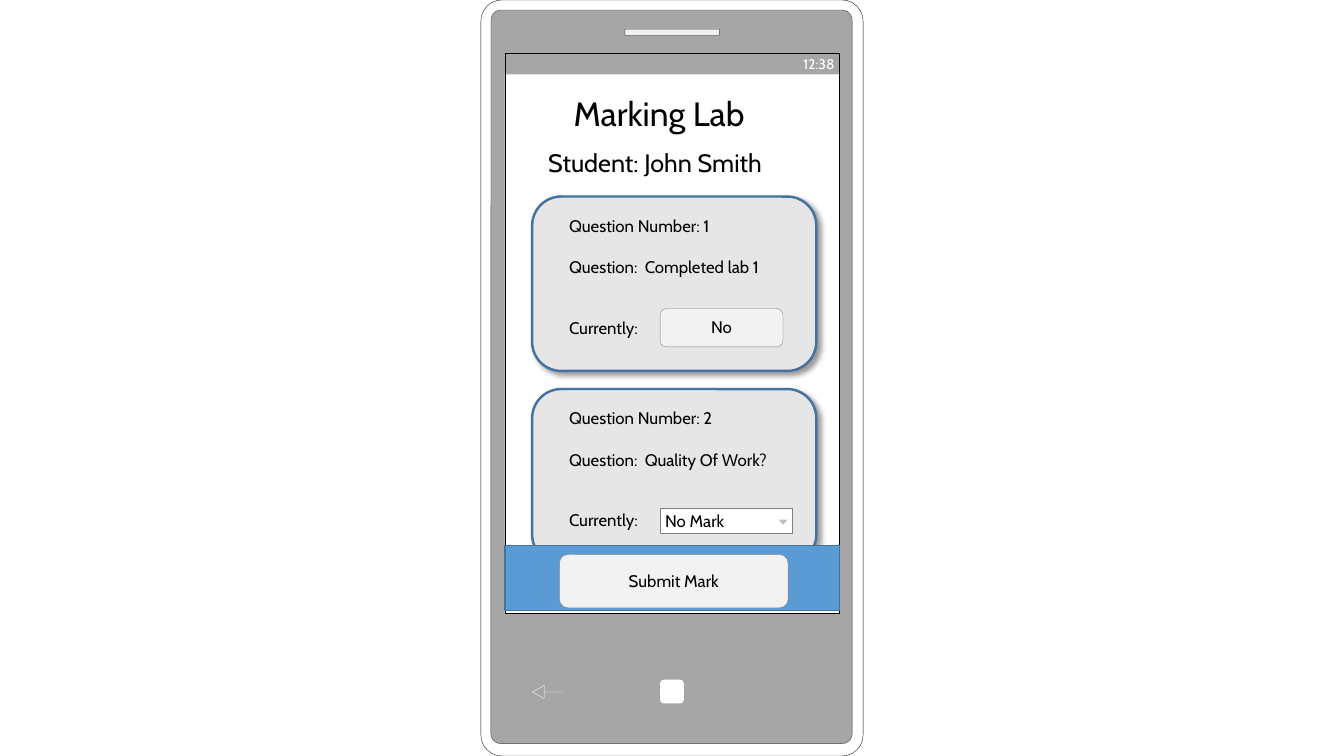
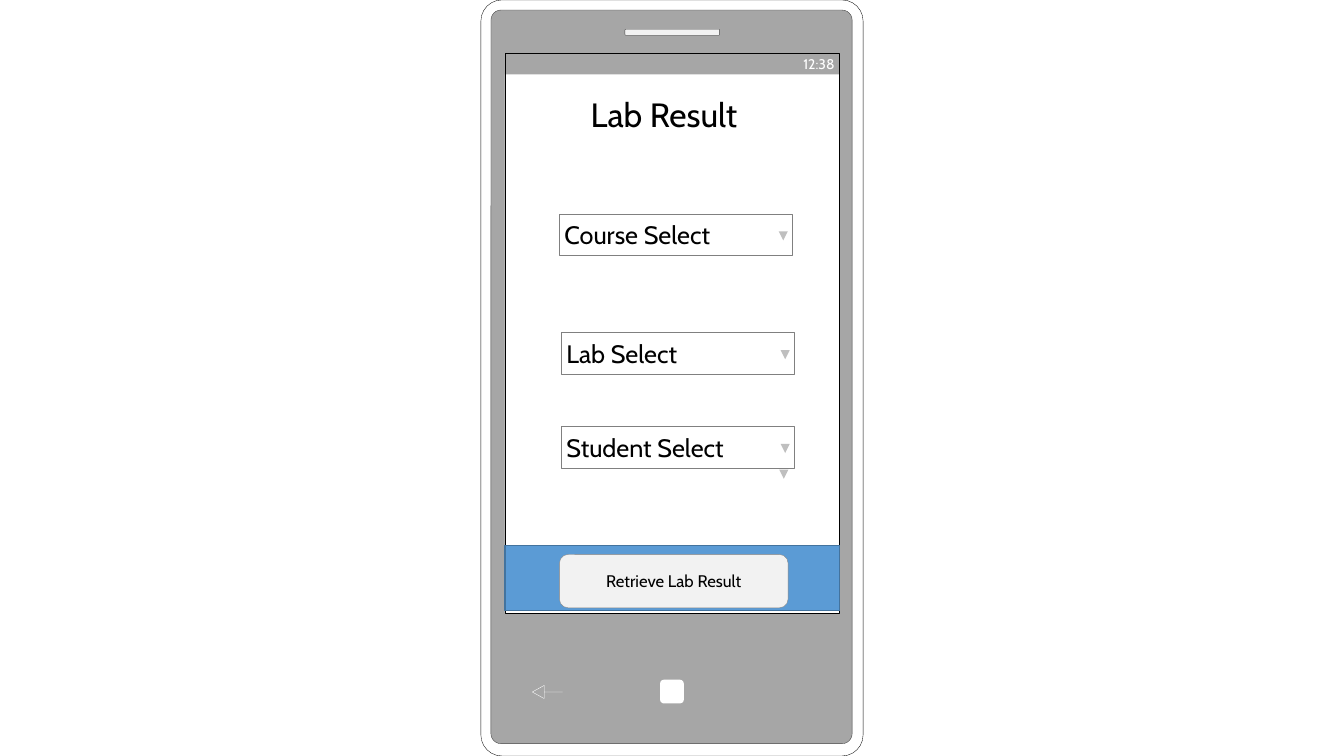
import collections

import lxml.etree
import pptx
import pptx.dml.color
import pptx.enum.shapes
import pptx.enum.text
import pptx.oxml
import pptx.oxml.ns
import pptx.util

Pt = pptx.util.Pt
SHAPE = pptx.enum.shapes.MSO_SHAPE
ALIGN = pptx.enum.text.PP_ALIGN
qn = pptx.oxml.ns.qn

COLORS = {
    "white": "FFFFFF", "black": "000000", "edge": "0D0D0D", "body": "A6A6A6",
    "outline": "404040", "button": "F2F2F2", "border": "808080",
    "arrow": "BFBFBF", "card": "E7E6E6", "blue": "5B9BD5", "navy": "43739E",
}
FONT = "Cabin"

# Text styles: insets (left, top, right, bottom), size, colour, alignment
Style = collections.namedtuple("Style", "insets size color align")
LABEL_INSETS = (7.2, 1.4, 7.2, 2.2)
FIELD_INSETS = (3.6, 3.6, 3.6, 3.6)
TITLE = Style(LABEL_INSETS, 24, "black", ALIGN.LEFT)
SUBTITLE = Style(LABEL_INSETS, 18, "black", ALIGN.LEFT)
LABEL = Style(LABEL_INSETS, 12, "black", ALIGN.LEFT)
BUTTON = Style((7.2, 0, 7.2, 0.7), 12, "black", ALIGN.CENTER)
SMALL_FIELD = Style(FIELD_INSETS, 12, "black", ALIGN.LEFT)
LARGE_FIELD = Style(FIELD_INSETS, 18, "black", ALIGN.LEFT)
CLOCK = Style(FIELD_INSETS, 10, "white", ALIGN.RIGHT)


class Box(collections.namedtuple("Box", "left top width height")):
    def inner(self, left, top, width, height):
        """A box whose corner is counted from this box's corner."""
        return Box(self.left + left, self.top + top, width, height)

    def lengths(self):
        return [Pt(value) for value in self]


PHONE = Box(343.5, 0, 273, 540)
SCREEN = PHONE.inner(17.2, 38.2, 239, 400)


def rgb(name):
    return pptx.dml.color.RGBColor.from_string(COLORS[name])


def assign(target, values):
    for name, value in values.items():
        setattr(target, name, value)


def write(shape, text, style):
    frame = shape.text_frame
    left, top, right, bottom = style.insets
    assign(frame, {
        "word_wrap": True,
        "auto_size": pptx.enum.text.MSO_AUTO_SIZE.NONE,
        "vertical_anchor": pptx.enum.text.MSO_ANCHOR.MIDDLE,
        "margin_left": Pt(left), "margin_top": Pt(top),
        "margin_right": Pt(right), "margin_bottom": Pt(bottom),
    })
    para = frame.paragraphs[0]
    para.alignment = style.align
    span = para.add_run()
    span.text = text
    assign(span.font, {"name": FONT, "size": Pt(style.size)})
    span.font.color.rgb = rgb(style.color)
    return para


def draw(page, kind, box, fill=None, line=None, weight=0.25, adjust=()):
    shape = page.shapes.add_shape(kind, *box.lengths())
    shape.shadow.inherit = False
    if fill:
        shape.fill.solid()
        shape.fill.fore_color.rgb = rgb(fill)
    else:
        shape.fill.background()
    if line:
        shape.line.color.rgb = rgb(line)
        shape.line.width = Pt(weight)
    else:
        shape.line.fill.background()
    for index, value in enumerate(adjust):
        shape.adjustments[index] = value
    return shape


def add_alpha(color, percent):
    lxml.etree.SubElement(color, qn("a:alpha"), val=str(percent * 1000))


def add_shadow(shape):
    effects = shape._element.spPr.find(qn("a:effectLst"))
    shadow = lxml.etree.SubElement(
        effects, qn("a:outerShdw"), blurRad=str(Pt(4)), dist=str(Pt(3)),
        dir=str(45 * 60000), algn="tl", rotWithShape="0")
    color = lxml.etree.SubElement(shadow, qn("a:srgbClr"), val=COLORS["black"])
    add_alpha(color, 40)


def add_tab_stop(para, position):
    stops = lxml.etree.SubElement(para._p.get_or_add_pPr(), qn("a:tabLst"))
    lxml.etree.SubElement(stops, qn("a:tab"), pos=str(Pt(position)), algn="l")


def add_label(page, box, text, style=LABEL):
    return write(page.shapes.add_textbox(*box.lengths()), text, style)


def add_button(page, box, text):
    button = draw(page, SHAPE.ROUNDED_RECTANGLE, box, "button", "border")
    write(button, text, BUTTON)


def add_down_arrow(page, box):
    draw(page, SHAPE.ISOSCELES_TRIANGLE, box, "arrow").rotation = 180


def add_dropdown(page, box, text, style, arrow_height=6.5):
    write(draw(page, SHAPE.RECTANGLE, box, "white", "border"), text, style)
    add_down_arrow(page, box.inner(box.width - 9.7,
                                   (box.height - arrow_height) / 2 + 1,
                                   6.5, arrow_height))


def add_phone(page, box):
    rounded = SHAPE.ROUNDED_RECTANGLE
    draw(page, rounded, box, "white", "edge", adjust=[0.055])
    draw(page, rounded, box.inner(7.2, 7.2, 258, 524), "body", "outline",
         adjust=[0.028])
    draw(page, SHAPE.RECTANGLE, SCREEN, "white", "black")
    draw(page, SHAPE.LEFT_ARROW, box.inner(36.7, 489.6, 21.6, 9.4),
         line="white", adjust=[0, 0.912])
    draw(page, rounded, box.inner(128, 485.5, 17, 17), "white")
    draw(page, rounded, box.inner(102.9, 20.9, 67.7, 4.3), "button", "outline")
    status = draw(page, SHAPE.RECTANGLE, SCREEN.inner(0, 0, 239, 15), "black")
    add_alpha(status._element.spPr.find(".//" + qn("a:srgbClr")), 35)
    write(status, "12:38", CLOCK)


def add_page(deck, title, title_box):
    page = deck.slides.add_slide(deck.slide_layouts[5])
    add_phone(page, PHONE)
    heading = page.shapes.title
    page.shapes._spTree.append(heading._element)  # in front of the screen
    assign(heading, dict(zip(Box._fields, title_box.lengths())))
    write(heading, title, TITLE)
    return page


def add_action_bar(page, screen, text):
    bar = screen.inner(0, 351.3, 239, 46.8)
    draw(page, SHAPE.RECTANGLE, bar, "blue", "navy", 1)
    add_button(page, bar.inner(38.9, 6.5, 163.4, 38.2), text)


def add_question_card(page, box, number, question):
    card = draw(page, SHAPE.ROUNDED_RECTANGLE, box, "card", "navy", 1.75)
    add_shadow(card)
    lines = [(12.2, f"Question Number: {number}"),
             (41.6, f"Question:\t{question}"),
             (84.8, "Currently:")]
    for top, text in lines:
        para = add_label(page, box.inner(19.4, top, 164, 18), text)
        if "\t" in text:
            add_tab_stop(para, 54)


def build_marking_page(deck):
    page = add_page(deck, "Marking Lab", SCREEN.inner(41.8, 26.6, 147.6, 32.4))
    add_label(page, SCREEN.inner(23.8, 65.5, 180.7, 25.2),
              "Student: John Smith", SUBTITLE)
    cards = [SCREEN.inner(19.4, 102.2 + 137.5 * row, 203, 124.6)
             for row in range(2)]
    questions = ["Completed lab 1", "Quality Of Work?"]
    for number, (card, question) in enumerate(zip(cards, questions), 1):
        add_question_card(page, card, number, question)
    add_button(page, cards[0].inner(91.4, 80, 87.8, 27.4), "No")
    add_dropdown(page, cards[1].inner(91.4, 85, 94.3, 18), "No Mark",
                 SMALL_FIELD, arrow_height=3.6)
    add_action_bar(page, SCREEN, "Submit Mark")


def build_result_page(deck):
    page = add_page(deck, "Lab Result", SCREEN.inner(54, 27.3, 123.8, 32.4))
    fields = [(38.9, 114.5, "Course Select"),
              (40.3, 199.4, "Lab Select"),
              (40.3, 266.4, "Student Select")]
    for left, top, text in fields:
        add_dropdown(page, SCREEN.inner(left, top, 166.3, 29.5), text,
                     LARGE_FIELD)
    add_down_arrow(page, SCREEN.inner(195.9, 297.3, 6.5, 6.5))
    add_action_bar(page, SCREEN, "Retrieve Lab Result")


def main():
    deck = pptx.Presentation()
    assign(deck, {"slide_width": Pt(960), "slide_height": Pt(540)})
    build_marking_page(deck)
    build_result_page(deck)
    deck.save("out.pptx")


if __name__ == "__main__":
    main()
